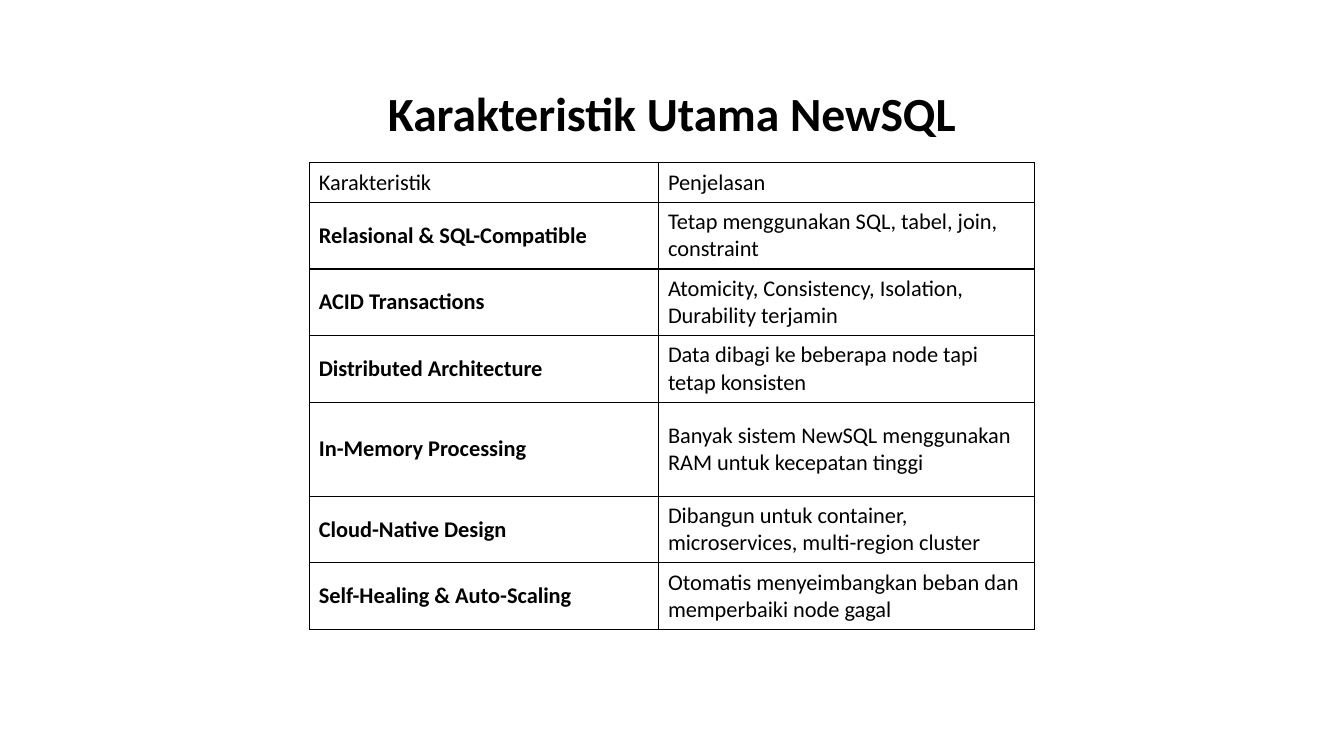
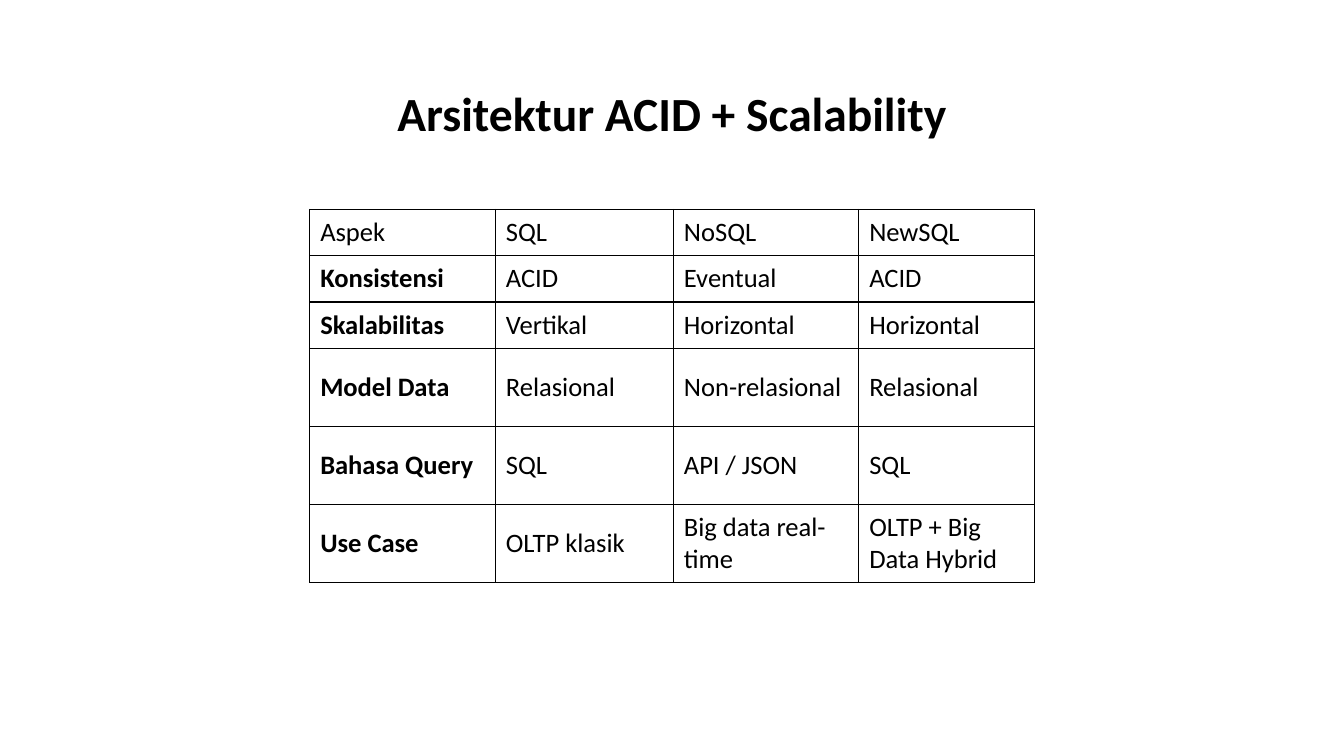
from dataclasses import dataclass

from lxml.etree import SubElement as Sub
from pptx import Presentation
from pptx.dml.color import RGBColor as Rgb
from pptx.enum.text import MSO_ANCHOR as Anchor, MSO_AUTO_SIZE as Fit, PP_ALIGN as Align
from pptx.oxml.ns import qn
from pptx.util import Pt

# Shared style
COLORS = {"text": "000000", "line": "000000"}
FONT = "Calibri"
LEFT, WIDTH = 221.2, 517.6


@dataclass
class Grid:
    title: str
    top: float
    size: float
    pad: tuple[float, float]
    cols: list[float]
    rows: list[float]
    cells: list[tuple[str, ...]]


GRIDS = [
    Grid(
        "Karakteristik Utama NewSQL", 116.1, 16, (6.6, 3.3),
        [249.4, 268.2],
        [28.4] + [47.6] * 3 + [67.1] + [47.6] * 2,
        [
            ("Karakteristik", "Penjelasan"),
            ("Relasional & SQL-Compatible", "Tetap menggunakan SQL, tabel, join, constraint"),
            ("ACID Transactions", "Atomicity, Consistency, Isolation, Durability terjamin"),
            ("Distributed Architecture", "Data dibagi ke beberapa node tapi tetap konsisten"),
            ("In-Memory Processing", "Banyak sistem NewSQL menggunakan RAM untuk kecepatan tinggi"),
            ("Cloud-Native Design", "Dibangun untuk container, microservices, multi-region cluster"),
            ("Self-Healing & Auto-Scaling", "Otomatis menyeimbangkan beban dan memperbaiki node gagal"),
        ],
    ),
    Grid(
        "Arsitektur ACID + Scalability", 149.6, 19, (7.6, 3.8),
        [132.6, 127.2, 132.4, 125.4],
        [33.1] * 3 + [55.7] * 3,
        [
            ("Aspek", "SQL", "NoSQL", "NewSQL"),
            ("Konsistensi", "ACID", "Eventual", "ACID"),
            ("Skalabilitas", "Vertikal", "Horizontal", "Horizontal"),
            ("Model Data", "Relasional", "Non-relasional", "Relasional"),
            ("Bahasa Query", "SQL", "API / JSON", "SQL"),
            ("Use Case", "OLTP klasik", "Big data real-time", "OLTP + Big Data Hybrid"),
        ],
    ),
]


def style(para, size: float, bold: bool) -> None:
    for run in para.runs:
        font = run.font
        font.name, font.size, font.bold = FONT, Pt(size), bold
        font.color.rgb = Rgb.from_string(COLORS["text"])


def border(cell) -> None:
    props = cell._tc.get_or_add_tcPr()
    for side in ("lnL", "lnR", "lnT", "lnB"):
        line = Sub(props, qn(f"a:{side}"), w=str(Pt(1)))
        fill = Sub(line, qn("a:solidFill"))
        Sub(fill, qn("a:srgbClr"), val=COLORS["line"])


def head(slide, text: str) -> None:
    title = slide.shapes.title
    title.left, title.top, title.width, title.height = map(Pt, (LEFT, 28, WIDTH, 77))
    frame = title.text_frame
    frame.text = text
    frame.word_wrap, frame.auto_size = True, Fit.NONE
    frame.vertical_anchor = Anchor.BOTTOM
    para = frame.paragraphs[0]
    para.alignment, para.line_spacing = Align.CENTER, 0.9
    style(para, 34, True)


def draw(slide, grid: Grid) -> None:
    table = slide.shapes.add_table(
        len(grid.rows), len(grid.cols),
        Pt(LEFT), Pt(grid.top), Pt(WIDTH), Pt(sum(grid.rows)),
    ).table
    table.first_row = table.horz_banding = False
    for col, width in zip(table.columns, grid.cols):
        col.width = Pt(width)
    for row, height in zip(table.rows, grid.rows):
        row.height = Pt(height)
    for r, texts in enumerate(grid.cells):
        for c, text in enumerate(texts):
            cell = table.cell(r, c)
            cell.text_frame.text = text
            cell.vertical_anchor = Anchor.MIDDLE
            cell.margin_left = cell.margin_right = Pt(grid.pad[0])
            cell.margin_top = cell.margin_bottom = Pt(grid.pad[1])
            border(cell)
            cell.fill.background()
            # Row labels are bold, the header row is not
            style(cell.text_frame.paragraphs[0], grid.size, r > 0 and c == 0)


def main() -> None:
    deck = Presentation()
    deck.slide_width, deck.slide_height = Pt(960), Pt(540)
    for grid in GRIDS:
        slide = deck.slides.add_slide(deck.slide_layouts[5])
        head(slide, grid.title)
        draw(slide, grid)
    deck.save("out.pptx")


if __name__ == "__main__":
    main()
